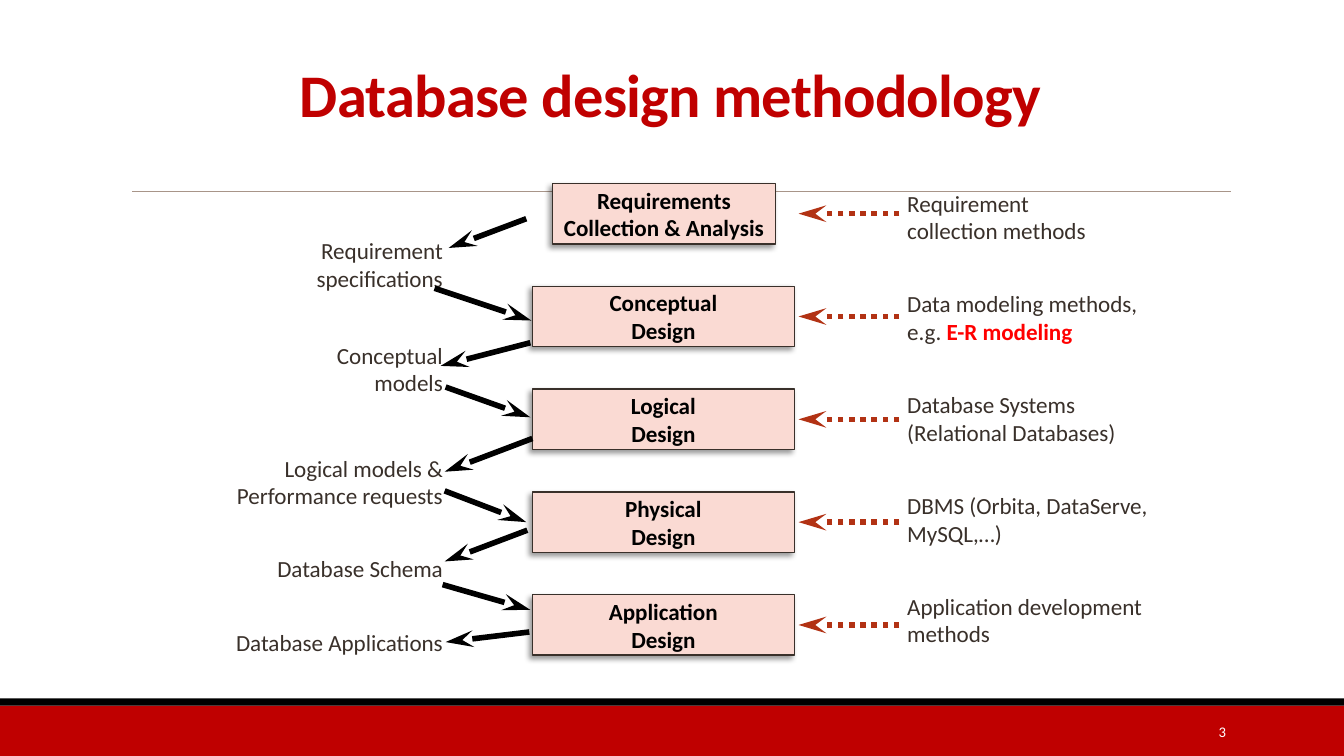
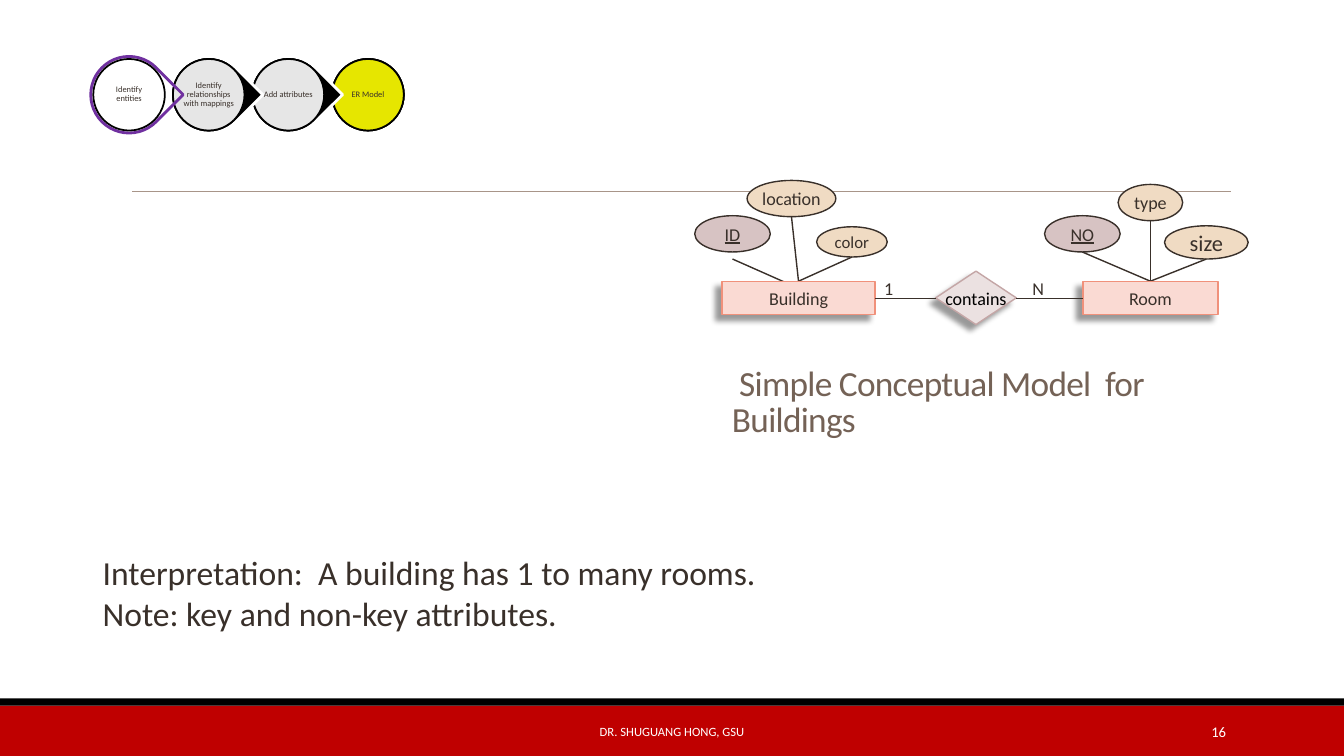
from lxml.etree import SubElement
from pptx import Presentation
from pptx.dml.color import RGBColor
from pptx.enum.dml import MSO_LINE
from pptx.enum.shapes import MSO_CONNECTOR, MSO_SHAPE as SHAPE
from pptx.enum.text import MSO_ANCHOR as ANCHOR, MSO_AUTO_SIZE, PP_ALIGN as ALIGN
from pptx.oxml.ns import qn
from pptx.util import Inches, Pt

FONT = "Calibri"
WHITE = RGBColor(0xFF, 0xFF, 0xFF)
BLACK = RGBColor(0x00, 0x00, 0x00)
BAND_RED = RGBColor(0xBF, 0x00, 0x00)
TITLE_RED = RGBColor(0xC0, 0x00, 0x00)
TITLE_BROWN = RGBColor(0x74, 0x62, 0x56)
HIGHLIGHT = RGBColor(0xFF, 0x00, 0x00)
RULE = RGBColor(0xA8, 0x95, 0x89)
INK = RGBColor(0x39, 0x30, 0x2A)
RUST = RGBColor(0xB2, 0x32, 0x14)
PINK = RGBColor(0xFA, 0xDA, 0xD3)
SALMON = RGBColor(0xF0, 0x91, 0x7B)
SAND = RGBColor(0xF0, 0xDB, 0xC3)
KEY_MAUVE = RGBColor(0xD7, 0xC3, 0xC3)
PALE_MAUVE = RGBColor(0xEB, 0xE1, 0xE1)
MAUVE = RGBColor(0xC4, 0xA6, 0xA6)
YELLOW = RGBColor(0xFF, 0xFF, 0x00)
PURPLE = RGBColor(0x70, 0x30, 0xA0)

SLIDE_W, SLIDE_H = 13.33, 7.5

STEPS = [
    ("Requirements\nCollection & Analysis", "Requirement\vcollection methods", ""),
    ("Conceptual\nDesign", "Data modeling methods,\ve.g. ", "E-R modeling"),
    ("Logical\nDesign", "Database Systems (Relational Databases)", ""),
    ("Physical\nDesign", "DBMS (Orbita, DataServe, MySQL,…)", ""),
    ("Application\nDesign", "Application development methods", ""),
]
RESULTS = [
    ("Requirement\vspecifications", 0.8, (5.22, 0.35, 4.45, 0.64)),
    ("Conceptual\vmodels", 0.82, (5.26, 0.56, 4.37, 0.79)),
    ("Logical models &\nPerformance requests", 0.92, (5.28, 0.49, 4.41, 0.82)),
    ("Database Schema", 0.76, (5.23, 0.38, 4.41, 0.69)),
    ("Database Applications", 0.47, (5.25, 0.37, 4.42, 0.47)),
]
FEEDS = [
    (4.31, 0.02, 5.27, 0.34),
    (4.42, -0.02, 5.26, 0.28),
    (4.41, -0.01, 5.22, 0.3),
    (4.39, -0.1, 5.26, 0.15),
]
ENTITIES = [
    ("Building", 0.27, 1.52, [
        ("ID", (0, 0.35, 0.75, 0.36), 12.9, True, 0.07),
        ("location", (0.52, 0, 0.88, 0.36), 12.9, False, 0),
        ("color", (1.21, 0.46, 0.7, 0.3), 12, False, 0)]),
    ("Room", 3.85, 1.34, [
        ("NO", (3.47, 0.35, 0.75, 0.36), 12.9, True, 0),
        ("type", (4.2, 0.04, 0.64, 0.36), 12.9, False, 0),
        ("size", (4.66, 0.45, 0.83, 0.33), 16, False, 0)]),
]
STAGES = [
    ("Identify entities", None),
    ("Identify relationships with mappings", WHITE),
    ("Add attributes", WHITE),
    ("ER Model", YELLOW),
]


def inches(*lengths):
    """Convert several lengths to EMU."""
    return [Inches(length) for length in lengths]


def write(frame, text, size, color=INK, align=ALIGN.LEFT, bold=None,
          anchor=ANCHOR.MIDDLE, insets=(0.1, 0.05), wrap=True, spacing=None):
    """Fill a text frame, one paragraph per line of text."""
    frame.word_wrap = wrap
    frame.auto_size = MSO_AUTO_SIZE.NONE
    frame.vertical_anchor = anchor
    frame.margin_left = frame.margin_right = Inches(insets[0])
    frame.margin_top = frame.margin_bottom = Inches(insets[1])
    frame.text = text
    for paragraph in frame.paragraphs:
        paragraph.alignment = align
        if spacing:
            paragraph.line_spacing = spacing
        paragraph.font.name = FONT
        paragraph.font.size = Pt(size)
        paragraph.font.bold = bold
        paragraph.font.color.rgb = color


def label(slide, box, text, size, **style):
    """Add a text box and return its text frame."""
    frame = slide.shapes.add_textbox(*inches(*box)).text_frame
    write(frame, text, size, **style)
    return frame


def shape(slide, kind, box, fill, line=None, width=1, shadow=None, alpha=None):
    """Add a preset shape; shadow is the distance in points."""
    figure = slide.shapes.add_shape(kind, *inches(*box))
    figure.shadow.inherit = False
    if fill is None:
        figure.fill.background()
    else:
        figure.fill.solid()
        figure.fill.fore_color.rgb = fill
    if line is None:
        figure.line.fill.background()
    else:
        figure.line.color.rgb = line
        figure.line.width = Pt(width)
    properties = figure._element.spPr
    if alpha and fill is not None:
        tint = properties.find(qn("a:solidFill")).find(qn("a:srgbClr"))
        SubElement(tint, qn("a:alpha"), val=str(alpha * 1000))
    if shadow:
        outer = SubElement(properties.find(qn("a:effectLst")), qn("a:outerShdw"),
                           blurRad=str(Pt(4)), dist=str(Pt(shadow)),
                           dir="8100000", algn="ctr", rotWithShape="0")
        shade = SubElement(outer, qn("a:srgbClr"), val=str(BLACK))
        SubElement(shade, qn("a:alpha"), val="40000")
    return figure


def line(slide, ends, color=INK, width=1, dash=None, arrow=False):
    """Draw a straight connector, with an arrowhead at its end if asked."""
    link = slide.shapes.add_connector(MSO_CONNECTOR.STRAIGHT, *inches(*ends))
    link.line.color.rgb = color
    link.line.width = Pt(width)
    if dash:
        link.line.dash_style = dash
    properties = link._element.spPr
    if arrow:
        SubElement(properties.find(qn("a:ln")), qn("a:tailEnd"),
                   type="stealth", w="med", len="lg")
    SubElement(properties, qn("a:effectLst"))
    return link


def decorate(slide):
    """Draw the bands and rule, and move them to the slide's layout."""
    parts = [
        shape(slide, SHAPE.RECTANGLE, (0, 7, SLIDE_W, 0.5), BAND_RED),
        shape(slide, SHAPE.RECTANGLE, (0, 6.93, SLIDE_W, 0.07), BLACK),
        line(slide, (1.31, 1.9, 12.21, 1.9), RULE, 0.5),
    ]
    for part in parts:
        slide.slide_layout.shapes._spTree.append(part._element)


def title(slide, box, text, size, color, align=ALIGN.LEFT, bold=False):
    """Place and style the title placeholder."""
    heading = slide.shapes.title
    heading.left, heading.top, heading.width, heading.height = inches(*box)
    write(heading.text_frame, text, size, color, align, bold,
          anchor=ANCHOR.BOTTOM, spacing=0.85)
    for run in heading.text_frame.paragraphs[0].runs:
        run._r.get_or_add_rPr().set("spc", "-50")


def footer(slide, number, author=None):
    """Write the page number and, if given, the author in the band."""
    if author:
        label(slide, (4.03, 7.06, 5.27, 0.4), author, 9,
              color=WHITE, align=ALIGN.CENTER)
    label(slide, (10.83, 7.06, 1.43, 0.4), number, 10.5,
          color=WHITE, align=ALIGN.RIGHT)


def design_step(slide, top, left, width, name):
    """Draw one design step and the dotted arrow leading to it."""
    box = shape(slide, SHAPE.RECTANGLE, (left, top, width, 0.6), PINK, INK, shadow=3)
    write(box.text_frame, name, 16.5, BLACK, ALIGN.CENTER, True, insets=(0.05, 0.02))
    middle = top + 0.3
    line(slide, (8.92, middle, 7.92, middle), RUST, 4, MSO_LINE.ROUND_DOT, True)


def method_note(slide, top, text, highlight):
    """Write the methods that support a step."""
    note = label(slide, (8.9, top, 2.8, 0.7), text, 16.5)
    if highlight:
        run = note.paragraphs[0].add_run()
        run.text = highlight
        run.font.bold = True
        run.font.color.rgb = HIGHLIGHT


def flow_arrow(slide, top, ends):
    """Draw a thick arrow with heights relative to a step."""
    x1, y1, x2, y2 = ends
    line(slide, (x1, top + y1, x2, top + y2), BLACK, 4, arrow=True)


def methodology(slide, top, pitch):
    """Draw the steps with their methods, results and arrows."""
    for i, ((name, method, highlight), (result, middle, out)) in enumerate(
            zip(STEPS, RESULTS)):
        step_top = top + i * pitch
        left, width = (5.28, 2.6) if i else (5.48, 2.21)
        design_step(slide, step_top, left, width, name)
        method_note(slide, top - 0.02 + i, method, highlight)
        label(slide, (1.67, step_top + middle - 0.33, 2.82, 0.66), result, 16.5,
              align=ALIGN.RIGHT)
        flow_arrow(slide, step_top, out)
        if i:
            flow_arrow(slide, step_top, FEEDS[i - 1])


def entity(slide, left, top, name, x, width, attributes):
    """Draw an entity with its attributes linked to its top centre."""
    entity_top, centre = top + 1, left + x + width / 2
    for text, (dx, dy, w, h), size, is_key, gap in attributes:
        oval = shape(slide, SHAPE.OVAL, (left + dx, top + dy, w, h),
                     KEY_MAUVE if is_key else SAND, INK)
        write(oval.text_frame, text, size, align=ALIGN.CENTER, insets=(0, 0), wrap=False)
        if is_key:
            oval.text_frame.paragraphs[0].font.underline = True
        line(slide, (left + dx + w / 2, top + dy + h + gap, centre, entity_top + gap))
    box = shape(slide, SHAPE.RECTANGLE, (left + x, entity_top, width, 0.33),
                PINK, SALMON, shadow=6)
    write(box.text_frame, name, 12.9, align=ALIGN.CENTER, wrap=False)


def er_diagram(slide, left, top):
    """Draw both entities and the relationship between them."""
    for name, x, width, attributes in ENTITIES:
        entity(slide, left, top, name, x, width, attributes)
    diamond = shape(slide, SHAPE.DIAMOND, (left + 2.39, top + 0.9, 0.8, 0.53),
                    PALE_MAUVE, MAUVE, shadow=6)
    write(diamond.text_frame, "contains", 12.9, BLACK, ALIGN.CENTER,
          insets=(0, 0), wrap=False)
    for start, end, cardinality, x in [(1.79, 2.39, "1", 1.79), (3.19, 3.85, "N", 3.26)]:
        line(slide, (left + start, top + 1.17, left + end, top + 1.17))
        label(slide, (left + x, top + 0.91, 0.37, 0.31), cardinality, 12.9,
              anchor=ANCHOR.TOP, insets=(0.09, 0.05), wrap=False)


def stage_chain(slide, left, top, pitch=0.79, outer=0.76, inner=0.71):
    """Draw the chain of modeling stages, from the last to the first."""
    inset = (outer - inner) / 2
    for i, (name, fill) in reversed(list(enumerate(STAGES))):
        x = left + i * pitch
        is_last = i == len(STAGES) - 1
        pointer = shape(slide, SHAPE.OVAL if is_last else SHAPE.TEAR,
                        (x, top, outer, outer), BLACK if i else None,
                        WHITE if i else PURPLE, 2)
        pointer.rotation = 0 if is_last else 45
        circle = shape(slide, SHAPE.OVAL, (x + inset, top + inset, inner, inner),
                       fill, BLACK, 1.25, alpha=90)
        write(circle.text_frame, name, 6, align=ALIGN.CENTER, insets=(0, 0), spacing=0.9)


def methodology_slide(slide):
    """Build the slide on design methodology."""
    title(slide, (1.16, 0.44, 10.98, 0.9), "Database design methodology",
          43.2, TITLE_RED, ALIGN.CENTER, True)
    methodology(slide, 1.82, 1.02)
    footer(slide, "3")


def model_slide(slide):
    """Build the slide with the building and room model."""
    er_diagram(slide, 6.89, 1.79)
    title(slide, (7.16, 3.66, 5.3, 0.75), " Simple Conceptual Model  for Buildings",
          25.2, TITLE_BROWN)
    footer(slide, "16", "DR. SHUGUANG HONG, GSU")
    label(slide, (0.92, 5.43, 6.93, 0.91),
          "Interpretation:  A building has 1 to many rooms.\n"
          "Note: key and non-key attributes.", 24, anchor=ANCHOR.TOP)
    stage_chain(slide, 0.9, 0.56)


def main():
    """Build and save the presentation."""
    deck = Presentation()
    deck.slide_width, deck.slide_height = inches(SLIDE_W, SLIDE_H)
    layout = deck.slide_layouts[5]
    first, second = (deck.slides.add_slide(layout) for _ in range(2))
    decorate(first)
    methodology_slide(first)
    model_slide(second)
    deck.save("out.pptx")


if __name__ == "__main__":
    main()
